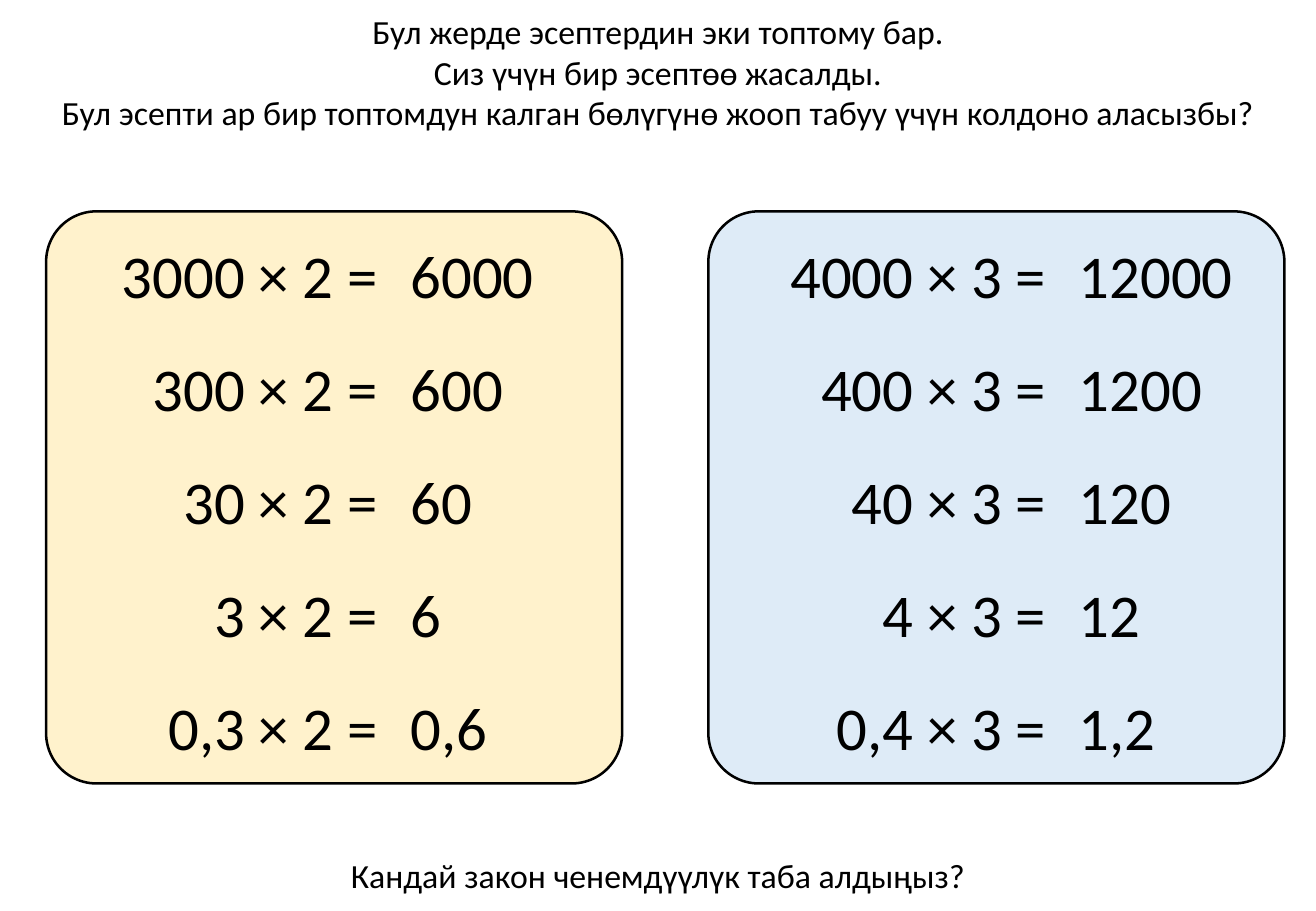
import pptx
import pptx.util
import pptx.dml.color
import pptx.enum.shapes
import pptx.enum.text

Inches = pptx.util.Inches
ALIGN = pptx.enum.text.PP_ALIGN

SLIDE_W, SLIDE_H = 10.83, 7.5
COLORS = {"ink": "000000", "cream": "FFF2CC", "sky": "DEEBF7"}
PANEL_TOP, PANEL_W, PANEL_H = 1.74, 4.74, 4.71
ROW_INSET, ROW_PITCH, ROW_H = 0.17, 0.93, 0.71
DIGIT_W, COMMA_W, PADDING, OPERATORS_W = 0.255, 0.125, 0.2, 1.22

INTRO = [
    "Бул жерде эсептердин эки топтому бар.",
    "Сиз үчүн бир эсептөө жасалды.",
    "Бул эсепти ар бир топтомдун калган бөлүгүнө жооп табуу үчүн колдоно аласызбы?",
]
QUESTION = "Кандай закон ченемдүүлүк таба алдыңыз?"
PANELS = [
    {"left": 0.38, "fill": "cream", "answer_inset": 2.9, "factor": 2,
     "rows": [("3000", "6000"), ("300", "600"), ("30", "60"), ("3", "6"), ("0,3", "0,6")]},
    {"left": 5.83, "fill": "sky", "answer_inset": 2.95, "factor": 3,
     "rows": [("4000", "12000"), ("400", "1200"), ("40", "120"), ("4", "12"), ("0,4", "1,2")]},
]


def rgb(name):
    """Return the named colour."""
    return pptx.dml.color.RGBColor.from_string(COLORS[name])


def write(sp, lines, size=20, align=ALIGN.CENTER):
    """Fill a shape with formatted paragraphs."""
    tf = sp.text_frame
    tf.word_wrap = False
    tf.auto_size = pptx.enum.text.MSO_AUTO_SIZE.NONE
    tf.vertical_anchor = pptx.enum.text.MSO_ANCHOR.TOP
    for i, line in enumerate(lines):
        p = tf.paragraphs[0] if i == 0 else tf.add_paragraph()
        p.alignment = align
        p.space_before = pptx.util.Pt(0)
        r = p.add_run()
        r.text = line
        r.font.size = pptx.util.Pt(size)
        r.font.name = "Calibri"
        r.font.color.rgb = rgb("ink")


def add_text(slide, box, lines, **style):
    """Add a text box at the given left, top, width and height."""
    sp = slide.shapes.add_textbox(*map(Inches, box))
    write(sp, lines, **style)


def number_width(number):
    """Return the width in inches of a number in the sums."""
    commas = number.count(",")
    return (len(number) - commas) * DIGIT_W + commas * COMMA_W


def add_intro(slide, box):
    """Place the introduction in the title placeholder."""
    sp = slide.shapes.title
    sp.left, sp.top, sp.width, sp.height = map(Inches, box)
    write(sp, INTRO)


def add_panel(slide, box, fill, answer_inset, factor, rows):
    """Draw a rounded panel with one sum and answer per row."""
    left, top, width, height = box
    sp = slide.shapes.add_shape(
        pptx.enum.shapes.MSO_SHAPE.ROUNDED_RECTANGLE, *map(Inches, box))
    sp.adjustments[0] = 0.088
    sp.shadow.inherit = False
    sp.fill.solid()
    sp.fill.fore_color.rgb = rgb(fill)
    sp.line.color.rgb = rgb("ink")
    sp.line.width = pptx.util.Pt(1.5)

    answer_left = left + answer_inset
    for i, (number, answer) in enumerate(rows):
        y = top + ROW_INSET + i * ROW_PITCH
        sum_w = OPERATORS_W + number_width(number)
        add_text(slide, (answer_left + 0.04 - sum_w, y, sum_w, ROW_H),
                 [f"{number} × {factor} = "], size=36, align=ALIGN.RIGHT)
        add_text(slide, (answer_left, y, PADDING + number_width(answer), ROW_H),
                 [answer], size=36, align=ALIGN.LEFT)


def main():
    """Build and save the slide."""
    prs = pptx.Presentation()
    prs.slide_width, prs.slide_height = Inches(SLIDE_W), Inches(SLIDE_H)
    slide = prs.slides.add_slide(prs.slide_layouts[5])
    add_intro(slide, (0.37, 0.04, 10.09, 1.11))
    for panel in PANELS:
        add_panel(slide, (panel["left"], PANEL_TOP, PANEL_W, PANEL_H), panel["fill"],
                  panel["answer_inset"], panel["factor"], panel["rows"])
    add_text(slide, (2.76, 6.99, 5.31, 0.44), [QUESTION])
    prs.save("out.pptx")


if __name__ == "__main__":
    main()
